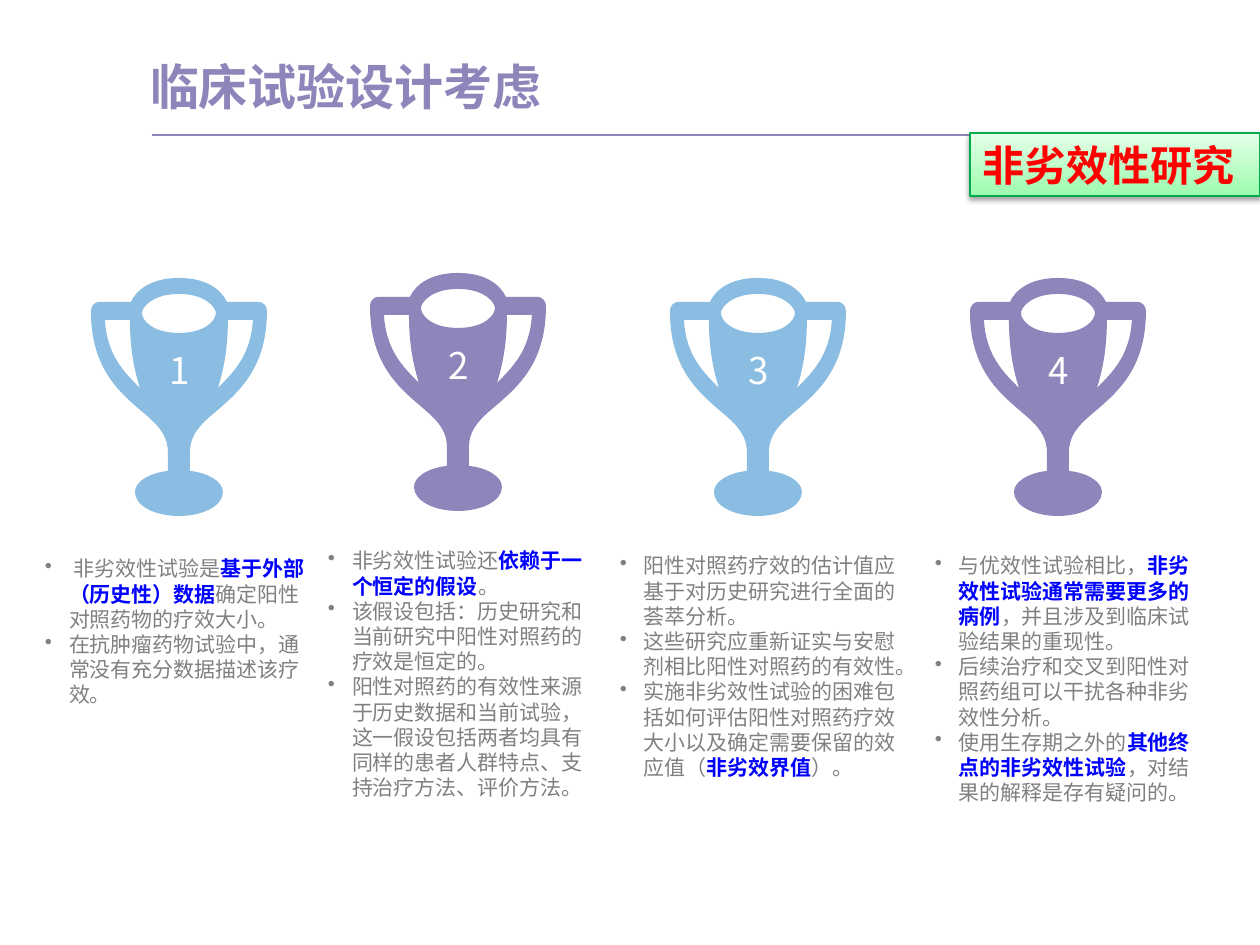
"""Build a slide on non-inferiority trial design with four numbered trophies."""
from lxml.etree import SubElement
from pptx import Presentation
from pptx.dml.color import RGBColor
from pptx.enum.shapes import MSO_CONNECTOR, MSO_SHAPE
from pptx.enum.text import MSO_ANCHOR, PP_ALIGN
from pptx.oxml.ns import qn
from pptx.util import Emu, Pt

SCALE = 914400 // 126
FONT = "Noto Sans CJK SC"
PURPLE = RGBColor(0x8D, 0x86, 0xBA)
SKY = RGBColor(0x8B, 0xBD, 0xE2)
GREY = RGBColor(0x80, 0x80, 0x80)
BLUE = RGBColor(0x00, 0x00, 0xFF)
RED = RGBColor(0xFF, 0x00, 0x00)
WHITE = RGBColor(0xFF, 0xFF, 0xFF)
GREEN = RGBColor(0x00, 0xAC, 0x4E)
MINT = RGBColor(0x9D, 0xFC, 0xAE)
PALE_MINT = RGBColor(0xE4, 0xFF, 0xE9)

TROPHY_WIDTH = 176
HALF_CUP = [
    [(88, 0)], [(59, 0), (45, 13), (40, 24)], [(8, 24)],
    [(4, 24), (0, 28), (0, 33)], [(0, 88), (26, 112), (48, 131)],
    [(66, 146), (77, 156), (77, 175)], [(77, 193)],
    [(58, 195), (44, 204), (44, 214)], [(44, 228), (64, 238), (88, 238)],
]
HALF_MOUTH = [
    [(88, 16)], [(61, 16), (51, 30), (51, 35)], [(51, 42), (61, 55), (88, 55)],
]
HANDLE = [
    [(14, 42)], [(39, 42)], [(39, 73), (44, 94), (49, 110)],
    [(33, 94), (16, 77), (14, 42)],
]

TROPHIES = [
    ("1", 91, 278, SKY), ("2", 370, 273, PURPLE),
    ("3", 670, 278, SKY), ("4", 970, 278, PURPLE),
]
COLUMNS = [
    ((45, 556, 260, 152), [
        " 非劣效性试验是*基于外部（历史性）数据*确定阳性对照药物的疗效大小。",
        "在抗肿瘤药物试验中，通常没有充分数据描述该疗效。",
    ]),
    ((328, 548, 261, 255), [
        "非劣效性试验还*依赖于一个恒定的假设*。",
        "该假设包括：历史研究和当前研究中阳性对照药的疗效是恒定的。",
        "阳性对照药的有效性来源于历史数据和当前试验，这一假设包括两者均具有"
        "同样的患者人群特点、支持治疗方法、评价方法。",
    ]),
    ((620, 553, 277, 229), [
        "阳性对照药疗效的估计值应基于对历史研究进行全面的荟萃分析。",
        "这些研究应重新证实与安慰剂相比阳性对照药的有效性。",
        "实施非劣效性试验的困难包括如何评估阳性对照药疗效大小以及确定需要"
        "保留的效应值（*非劣效界值*）。",
    ]),
    ((935, 553, 260, 255), [
        "与优效性试验相比，*非劣效性试验通常需要更多的病例*，"
        "并且涉及到临床试验结果的重现性。",
        "后续治疗和交叉到阳性对照药组可以干扰各种非劣效性分析。",
        "使用生存期之外的*其他终点的非劣效性试验*，对结果的解释是存有疑问的。",
    ]),
]


def px(*lengths):
    """Turn pixel lengths into EMU."""
    return [Emu(length * SCALE) for length in lengths]


def write(para, text, size, color, bold=False, font=FONT, align=PP_ALIGN.LEFT):
    """Fill a paragraph, with starred parts in bold blue."""
    para.alignment = align
    para.line_spacing = Pt(size * 1.2)
    for index, part in enumerate(text.split("*")):
        marked = index % 2 == 1
        span = para.add_run()
        span.text = part
        span.font.name = font
        span.font.size = Pt(size)
        span.font.bold = bold or marked
        span.font.color.rgb = BLUE if marked else color
        SubElement(span.font._element, qn("a:ea"), typeface=FONT)


def clear_margins(frame):
    """Wrap the text from the top of a frame without margins."""
    frame.word_wrap = True
    frame.vertical_anchor = MSO_ANCHOR.TOP
    frame.margin_left = frame.margin_right = 0
    frame.margin_top = frame.margin_bottom = 0


def add_text_frame(page, *place):
    """Add a text box and return its frame."""
    frame = page.shapes.add_textbox(*px(*place)).text_frame
    clear_margins(frame)
    return frame


def add_bullet(para):
    """Give a paragraph a hanging bullet."""
    indent = px(24)[0]
    properties = para._p.get_or_add_pPr()
    properties.set("marL", str(indent))
    properties.set("indent", str(-indent))
    SubElement(properties, qn("a:buChar"), char="•")


def mirror(steps):
    """Reflect an outline across the middle of the trophy and reverse it."""
    points = [(TROPHY_WIDTH - x, y) for step in steps for x, y in step]
    backward = reversed(points)
    return [[next(backward) for _ in step] for step in steps[:1] + steps[:0:-1]]


def bend(shape, outlines):
    """Join the segments of each three-point step into one cubic curve."""
    path_element = next(shape._element.iter(qn("a:path")))
    segments = iter(path_element.findall(qn("a:lnTo")))
    for outline in outlines:
        for step in outline[1:]:
            curve, *others = [next(segments) for _ in step]
            if others:
                curve.tag = qn("a:cubicBezTo")
            for segment in others:
                curve.append(segment[0])
                path_element.remove(segment)


def add_trophy(page, number, left, top, color):
    """Draw a trophy with its number on the cup."""
    cup, mouth = (half + mirror(half)[1:] for half in (HALF_CUP, HALF_MOUTH))
    outlines = [cup, mouth, HANDLE, mirror(HANDLE)]
    builder = page.shapes.build_freeform(*px(*cup[0][0]))
    for outline in outlines:
        start, *others = [px(*point) for step in outline for point in step]
        if outline is not cup:
            builder.move_to(*start)
        builder.add_line_segments(others, close=True)
    shape = builder.convert_to_shape(*px(left, top))
    bend(shape, outlines)
    shape.shadow.inherit = False
    shape.fill.solid()
    shape.fill.fore_color.rgb = color
    shape.line.fill.background()
    frame = add_text_frame(page, left + 42, top + 70, 93, 44)
    write(frame.paragraphs[0], number, 21, WHITE, align=PP_ALIGN.CENTER)


def add_column(page, place, items):
    """Add a bulleted column of text."""
    frame = add_text_frame(page, *place)
    for index, item in enumerate(items):
        para = frame.add_paragraph() if index else frame.paragraphs[0]
        add_bullet(para)
        write(para, item, 12, GREY)


def add_title(page, text):
    """Place the title and the rule below it."""
    title = page.shapes.title
    title.left, title.top, title.width, title.height = px(150, 57, 730, 59)
    clear_margins(title.text_frame)
    write(title.text_frame.paragraphs[0], text, 28, PURPLE, bold=True)
    rule = page.shapes.add_connector(MSO_CONNECTOR.STRAIGHT, *px(152, 135, 1138, 135))
    rule.line.color.rgb = PURPLE
    rule.line.width = Pt(0.75)
    SubElement(rule._element.spPr, qn("a:effectLst"))


def add_badge(page, text):
    """Add the green topic badge with its soft shadow."""
    badge = page.shapes.add_shape(MSO_SHAPE.RECTANGLE, *px(970, 133, 290, 63))
    badge.fill.gradient()
    badge.fill.gradient_angle = 90
    for stop, color in zip(badge.fill.gradient_stops, (MINT, PALE_MINT)):
        stop.color.rgb = color
    badge.line.color.rgb = GREEN
    badge.line.width = Pt(0.75)
    effects = SubElement(badge._element.spPr, qn("a:effectLst"))
    shadow = SubElement(effects, qn("a:outerShdw"), blurRad=str(Pt(3.1)),
                        dist=str(Pt(1.6)), dir="5400000", rotWithShape="0")
    shade = SubElement(shadow, qn("a:srgbClr"), val="000000")
    SubElement(shade, qn("a:alpha"), val="38000")
    badge.text_frame.word_wrap = False
    write(badge.text_frame.paragraphs[0], text, 24, RED, bold=True, font="Calibri")


def main():
    """Build and save the slide."""
    deck = Presentation()
    deck.slide_width, deck.slide_height = px(1260, 945)
    page = deck.slides.add_slide(deck.slide_layouts[5])
    for trophy in TROPHIES:
        add_trophy(page, *trophy)
    for place, items in COLUMNS:
        add_column(page, place, items)
    add_title(page, "临床试验设计考虑")
    add_badge(page, "非劣效性研究")
    deck.save("out.pptx")


if __name__ == "__main__":
    main()
